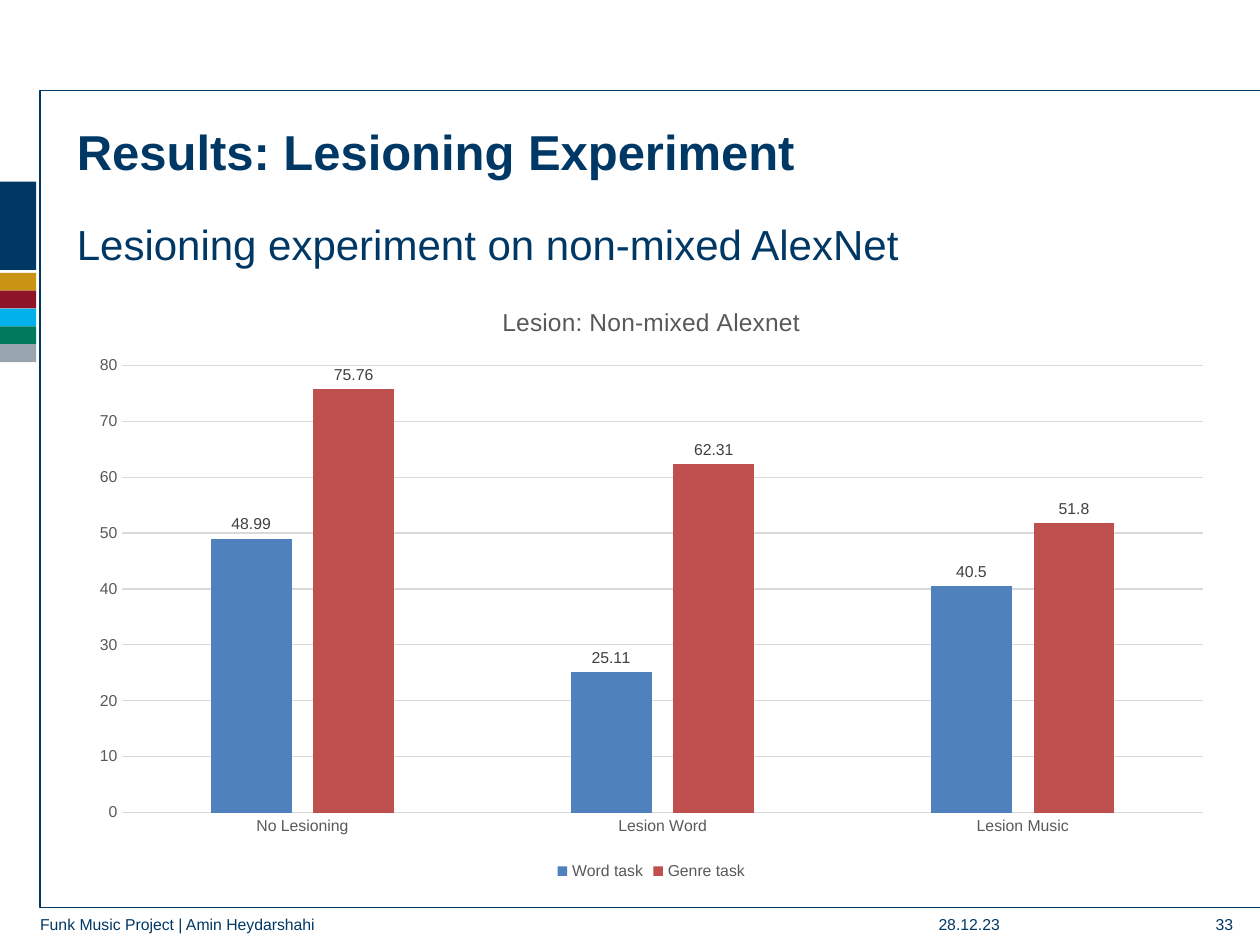
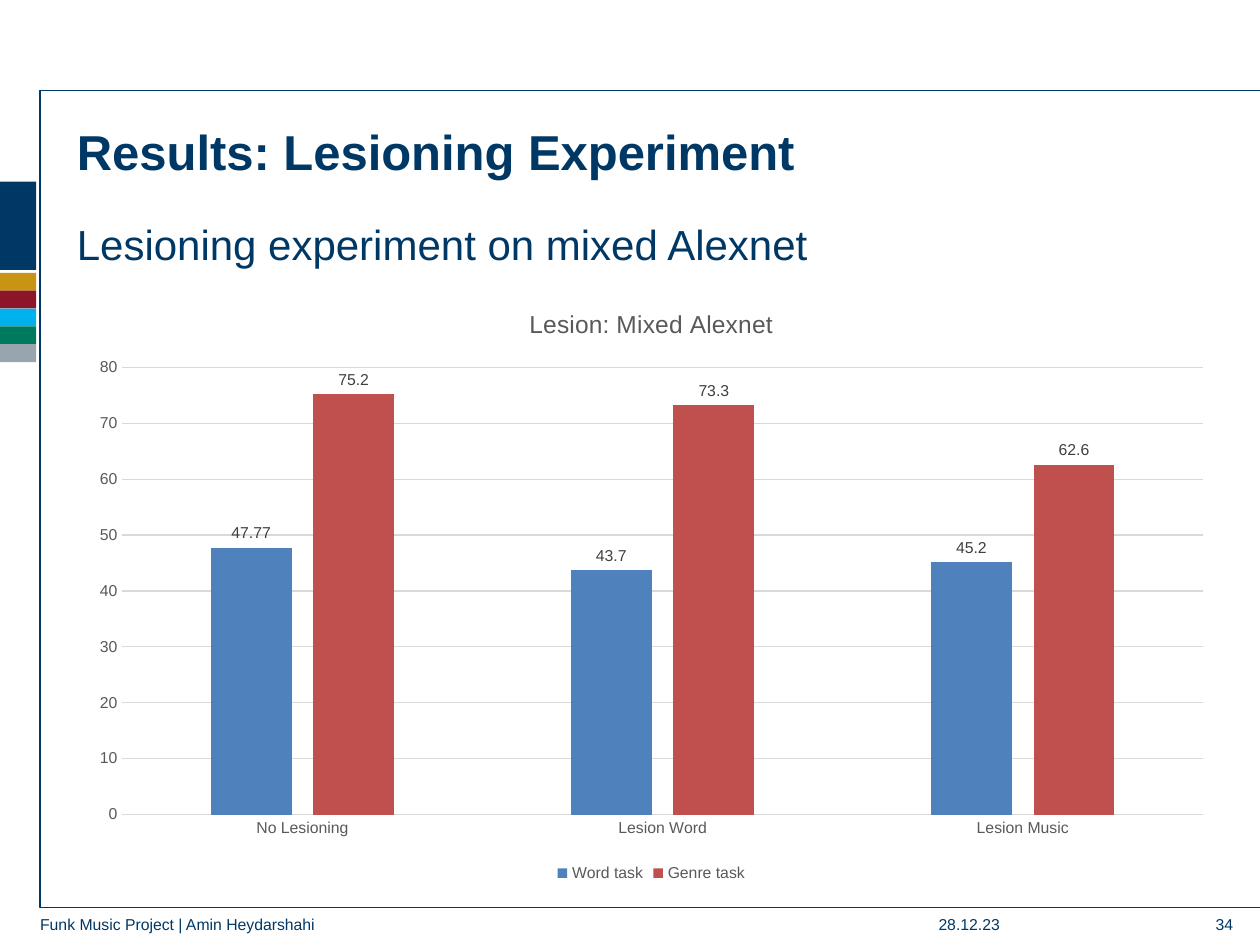
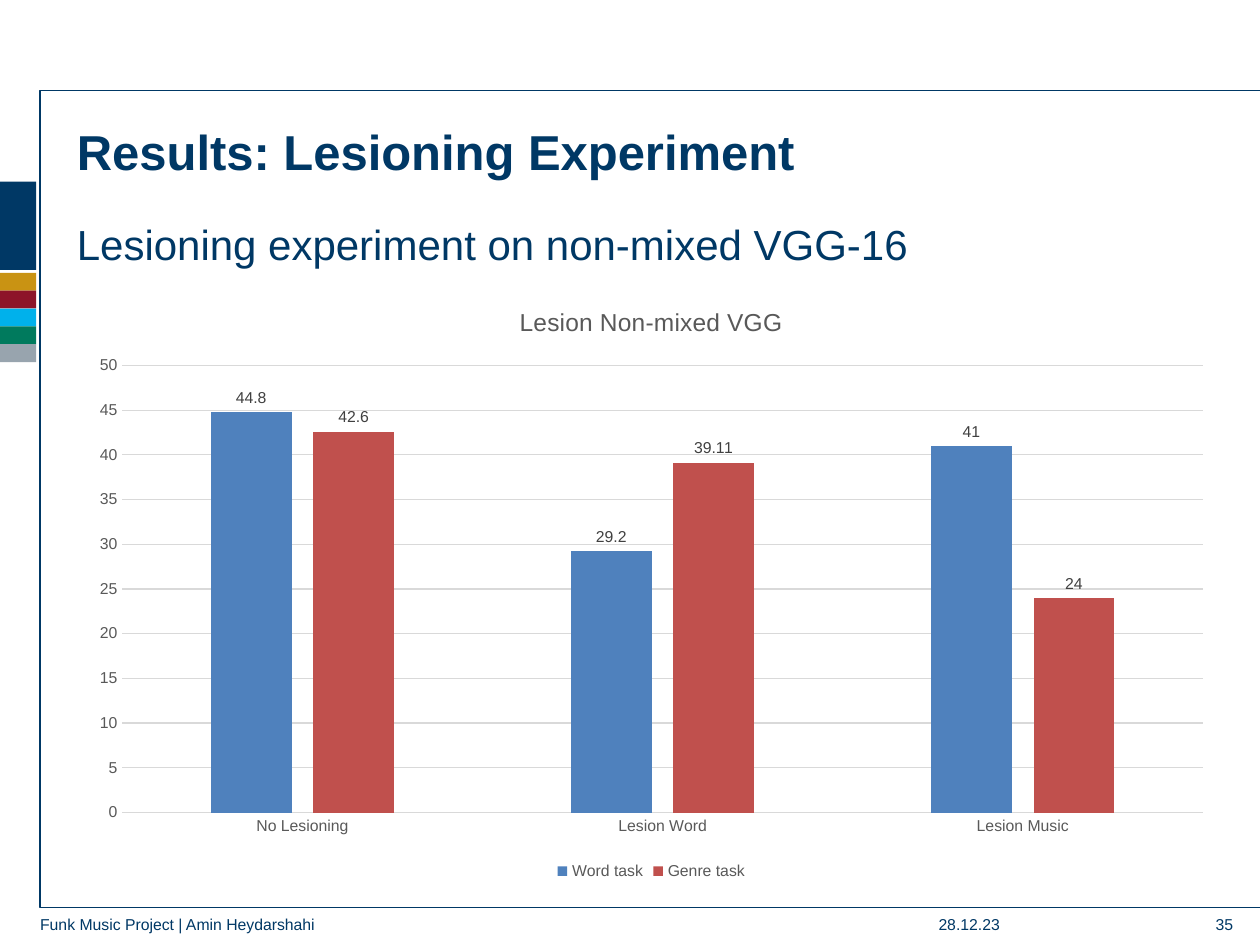
from pptx import Presentation
from pptx.chart.data import CategoryChartData
from pptx.dml.color import RGBColor
from pptx.enum.chart import (
    XL_CHART_TYPE as ChartType,
    XL_LABEL_POSITION as LabelPosition,
    XL_LEGEND_POSITION as LegendPosition,
    XL_TICK_MARK as TickMark,
)
from pptx.enum.shapes import MSO_SHAPE as Preset
from pptx.enum.text import MSO_ANCHOR as Anchor, MSO_AUTO_SIZE as AutoSize, PP_ALIGN as Align
from pptx.util import Cm, Pt

FONT = "Arial"
COLORS = {
    "navy": "003865", "gold": "C99313", "red": "8D1429", "cyan": "00B1EB",
    "green": "007A5D", "gray": "98A4AE", "word": "4F81BD", "genre": "C0504D",
    "grid": "D9D9D9", "axis text": "595959", "label text": "404040",
}
STRIPES = ["gold", "red", "cyan", "green", "gray"]
STRIPE_TOP, STRIPE_HEIGHT, BAND_WIDTH = 5.5, 0.36, 0.73
CONTENT_LEFT, CONTENT_WIDTH = 1.55, 23.16
FOOTER_TOP, FOOTER_HEIGHT = 18.45, 0.53

TITLE = "Results: Lesioning Experiment"
FOOTER = "Funk Music Project | Amin Heydarshahi"
DATE = "28.12.23"
FIRST_NUMBER = 33
CONDITIONS = ["No Lesioning", "Lesion Word", "Lesion Music"]
# subtitle, chart title, word task scores, genre task scores, axis maximum, axis step, chart top
RESULTS = [
    ("Lesioning experiment on non-mixed AlexNet", "Lesion: Non-mixed Alexnet",
     (48.99, 25.11, 40.5), (75.76, 62.31, 51.8), 80, 10, 5.71),
    ("Lesioning experiment on mixed Alexnet", "Lesion: Mixed Alexnet",
     (47.77, 43.7, 45.2), (75.2, 73.3, 62.6), 80, 10, 5.75),
    ("Lesioning experiment on non-mixed VGG-16", "Lesion Non-mixed VGG",
     (44.8, 29.2, 41), (42.6, 39.11, 24), 50, 5, 5.71),
]


def color(name):
    return RGBColor.from_string(COLORS[name])


def style_font(font, size, color_name, bold=False):
    font.name = FONT
    font.size = Pt(size)
    font.bold = bold
    font.color.rgb = color(color_name)


def style_line(line, color_name):
    line.color.rgb = color(color_name)
    line.width = Pt(0.75)


def fill_text(holder, text, size, bold=False, align=Align.LEFT):
    frame = holder.text_frame
    frame.text = text
    frame.word_wrap = True
    frame.auto_size = AutoSize.NONE
    frame.vertical_anchor = Anchor.TOP
    frame.margin_left = frame.margin_right = frame.margin_top = frame.margin_bottom = 0
    paragraph = frame.paragraphs[0]
    paragraph.alignment = align
    style_font(paragraph.runs[0].font, size, "navy", bold)


def add_text(slide, left, top, width, height, text, size, align=Align.LEFT):
    box = slide.shapes.add_textbox(Cm(left), Cm(top), Cm(width), Cm(height))
    fill_text(box, text, size, align=align)


def add_band(slide, top, height, color_name):
    band = slide.shapes.add_shape(Preset.RECTANGLE, 0, Cm(top), Cm(BAND_WIDTH), Cm(height))
    band.shadow.inherit = False
    band.fill.solid()
    band.fill.fore_color.rgb = color(color_name)
    band.line.fill.background()


def add_frame(slide):
    """Outline the content area, open towards the right edge."""
    left, right, top, bottom = Cm(0.81), Cm(25.4), Cm(1.83), Cm(18.29)
    builder = slide.shapes.build_freeform(right, top)
    builder.add_line_segments(
        [(left, top), (left, bottom), (right, bottom), (Cm(24.1), bottom)], close=False)
    frame = builder.convert_to_shape()
    frame.shadow.inherit = False
    frame.fill.background()
    style_line(frame.line, "navy")


def add_decoration(slide, number):
    for index, stripe in enumerate(STRIPES):
        add_band(slide, STRIPE_TOP + index * STRIPE_HEIGHT, STRIPE_HEIGHT, stripe)
    add_band(slide, 3.66, 1.78, "navy")
    add_frame(slide)
    add_text(slide, 0.81, FOOTER_TOP, 17, FOOTER_HEIGHT, FOOTER, 9)
    add_text(slide, 18.92, FOOTER_TOP, 3, FOOTER_HEIGHT, DATE, 9)
    add_text(slide, 22.86, FOOTER_TOP, 2, FOOTER_HEIGHT, str(number), 9, Align.RIGHT)


def add_headings(slide, subtitle):
    title = slide.shapes.title
    title.left, title.top = Cm(CONTENT_LEFT), Cm(2.45)
    title.width, title.height = Cm(CONTENT_WIDTH), Cm(1.95)
    fill_text(title, TITLE, 28, bold=True)
    add_text(slide, CONTENT_LEFT, 4.41, CONTENT_WIDTH, 1.3, subtitle, 24)


def style_axes(chart, maximum, step):
    for axis in (chart.category_axis, chart.value_axis):
        axis.major_tick_mark = axis.minor_tick_mark = TickMark.NONE
        style_font(axis.tick_labels.font, 9, "axis text")
    style_line(chart.category_axis.format.line, "grid")
    scores = chart.value_axis
    scores.minimum_scale, scores.maximum_scale, scores.major_unit = 0, maximum, step
    scores.format.line.fill.background()
    style_line(scores.major_gridlines.format.line, "grid")


def style_columns(plot):
    plot.gap_width, plot.overlap = 219, -27
    plot.vary_by_categories = False
    for task, color_name in zip(plot.series, ("word", "genre")):
        task.format.fill.solid()
        task.format.fill.fore_color.rgb = color(color_name)
        labels = task.data_labels
        labels.show_value = True
        labels.position = LabelPosition.OUTSIDE_END
        style_font(labels.font, 9, "label text")


def add_scores_chart(slide, title, word_scores, genre_scores, maximum, step, top):
    data = CategoryChartData()
    data.categories = CONDITIONS
    data.add_series("Word task", word_scores)
    data.add_series("Genre task", genre_scores)
    chart = slide.shapes.add_chart(
        ChartType.COLUMN_CLUSTERED, Cm(CONTENT_LEFT), Cm(top),
        Cm(CONTENT_WIDTH), Cm(12.14), data).chart
    chart.font.name = FONT
    chart.font.size = Pt(10)
    chart.has_title = True
    heading = chart.chart_title
    heading.include_in_layout = False
    heading.text_frame.text = title
    style_font(heading.text_frame.paragraphs[0].runs[0].font, 14, "axis text")
    chart.has_legend = True
    chart.legend.position = LegendPosition.BOTTOM
    chart.legend.include_in_layout = False
    style_font(chart.legend.font, 9, "axis text")
    style_axes(chart, maximum, step)
    style_columns(chart.plots[0])


def main():
    deck = Presentation()
    deck.slide_width, deck.slide_height = Cm(25.4), Cm(19.05)
    title_only = deck.slide_layouts.get_by_name("Title Only")
    for number, (subtitle, *chart_content) in enumerate(RESULTS, FIRST_NUMBER):
        slide = deck.slides.add_slide(title_only)
        add_decoration(slide, number)
        add_headings(slide, subtitle)
        add_scores_chart(slide, *chart_content)
    deck.save("out.pptx")


if __name__ == "__main__":
    main()
